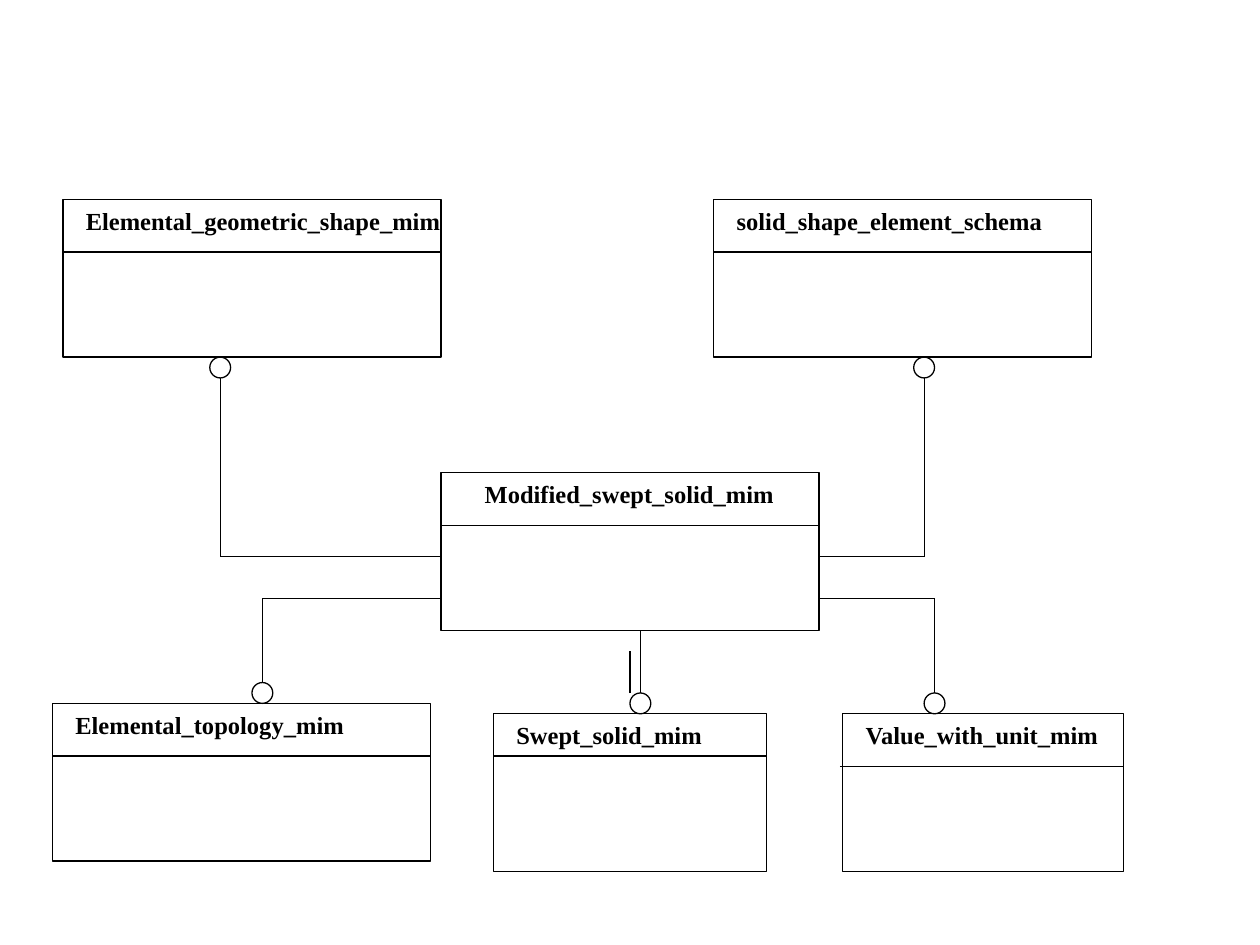
from dataclasses import dataclass
from itertools import pairwise

from lxml import etree
from pptx import Presentation, util as u
from pptx.dml.color import RGBColor
from pptx.enum import shapes, text
from pptx.oxml.ns import qn
from pptx.slide import Slide

COLOURS = {"ink": "000000"}
INK = RGBColor.from_string(COLOURS["ink"])
FONT = "Times New Roman"
STROKE = u.Pt(0.75)
SCHEMA_HEIGHT = 3.18
LABEL_HEIGHT = 0.87
CIRCLE = 0.42


@dataclass(frozen=True)
class Schema:
    name: str
    left: float
    top: float
    width: float
    label_width: float
    label_indent: float = 0.21
    header: float = 1.06
    overhang: float = 0


@dataclass(frozen=True)
class Reference:
    circle_left: float
    circle_top: float
    route: tuple[tuple[float, float], ...]


SCHEMAS = (
    Schema("Modified_swept_solid_mim", 8.89, 9.53, 7.62, 6.38, label_indent=0.63),
    Schema("Elemental_geometric_shape_mim", 1.27, 4.02, 7.62, 7.71),
    Schema("solid_shape_element_schema", 14.39, 4.02, 7.62, 6.71),
    Schema("Elemental_topology_mim", 1.06, 14.18, 7.62, 5.96),
    Schema("Value_with_unit_mim", 16.99, 14.39, 5.66, 5.27, overhang=0.06),
    Schema("Swept_solid_mim", 9.95, 14.39, 5.5, 4.3, header=0.85),
)

REFERENCES = (
    Reference(4.23, 7.2, ((4.45, 7.62), (4.45, 11.22), (8.89, 11.22))),
    Reference(18.42, 7.2, ((18.63, 7.62), (18.63, 11.22), (16.51, 11.22))),
    Reference(5.08, 13.76, ((5.29, 13.76), (5.29, 12.07), (8.89, 12.07))),
    Reference(18.63, 13.97, ((18.84, 13.97), (18.84, 12.07), (16.51, 12.07))),
    Reference(12.7, 13.97, ((12.91, 13.97), (12.91, 12.7))),
)

STRAY_MARK = ((12.7, 13.97), (12.7, 13.12))


def draw_outline(slide: Slide, preset: shapes.MSO_SHAPE, left: float, top: float,
                 width: float, height: float) -> None:
    outline = slide.shapes.add_shape(preset, u.Cm(left), u.Cm(top), u.Cm(width), u.Cm(height))
    outline.shadow.inherit = False
    outline.fill.background()
    outline.line.color.rgb = INK
    outline.line.width = STROKE


def draw_route(slide: Slide, points: tuple[tuple[float, float], ...]) -> None:
    for (x1, y1), (x2, y2) in pairwise(points):
        segment = slide.shapes.add_connector(
            shapes.MSO_CONNECTOR.STRAIGHT, u.Cm(x1), u.Cm(y1), u.Cm(x2), u.Cm(y2))
        segment.line.color.rgb = INK
        segment.line.width = STROKE
        etree.SubElement(segment._element.spPr, qn("a:effectLst"))


def draw_label(slide: Slide, schema: Schema) -> None:
    label = slide.shapes.add_textbox(
        u.Cm(schema.left + schema.label_indent), u.Cm(schema.top),
        u.Cm(schema.label_width), u.Cm(LABEL_HEIGHT))
    frame = label.text_frame
    frame.word_wrap = False
    frame.auto_size = text.MSO_AUTO_SIZE.SHAPE_TO_FIT_TEXT
    frame.text = schema.name
    font = frame.paragraphs[0].runs[0].font
    font.name = FONT
    font.size = u.Pt(14)
    font.bold = True
    font.color.rgb = INK


def draw_schema(slide: Slide, schema: Schema) -> None:
    draw_outline(slide, shapes.MSO_SHAPE.RECTANGLE,
                 schema.left, schema.top, schema.width, SCHEMA_HEIGHT)
    divider = schema.top + schema.header
    draw_route(slide, ((schema.left - schema.overhang, divider),
                       (schema.left + schema.width, divider)))
    draw_label(slide, schema)


def draw_reference(slide: Slide, reference: Reference) -> None:
    draw_outline(slide, shapes.MSO_SHAPE.OVAL,
                 reference.circle_left, reference.circle_top, CIRCLE, CIRCLE)
    draw_route(slide, reference.route)


def main() -> None:
    deck = Presentation()
    deck.slide_width = u.Cm(25.4)
    deck.slide_height = u.Cm(19.05)
    slide = deck.slides.add_slide(deck.slide_layouts.get_by_name("Blank"))
    for schema in SCHEMAS:
        draw_schema(slide, schema)
    for reference in REFERENCES:
        draw_reference(slide, reference)
    draw_route(slide, STRAY_MARK)
    deck.save("out.pptx")


if __name__ == "__main__":
    main()
